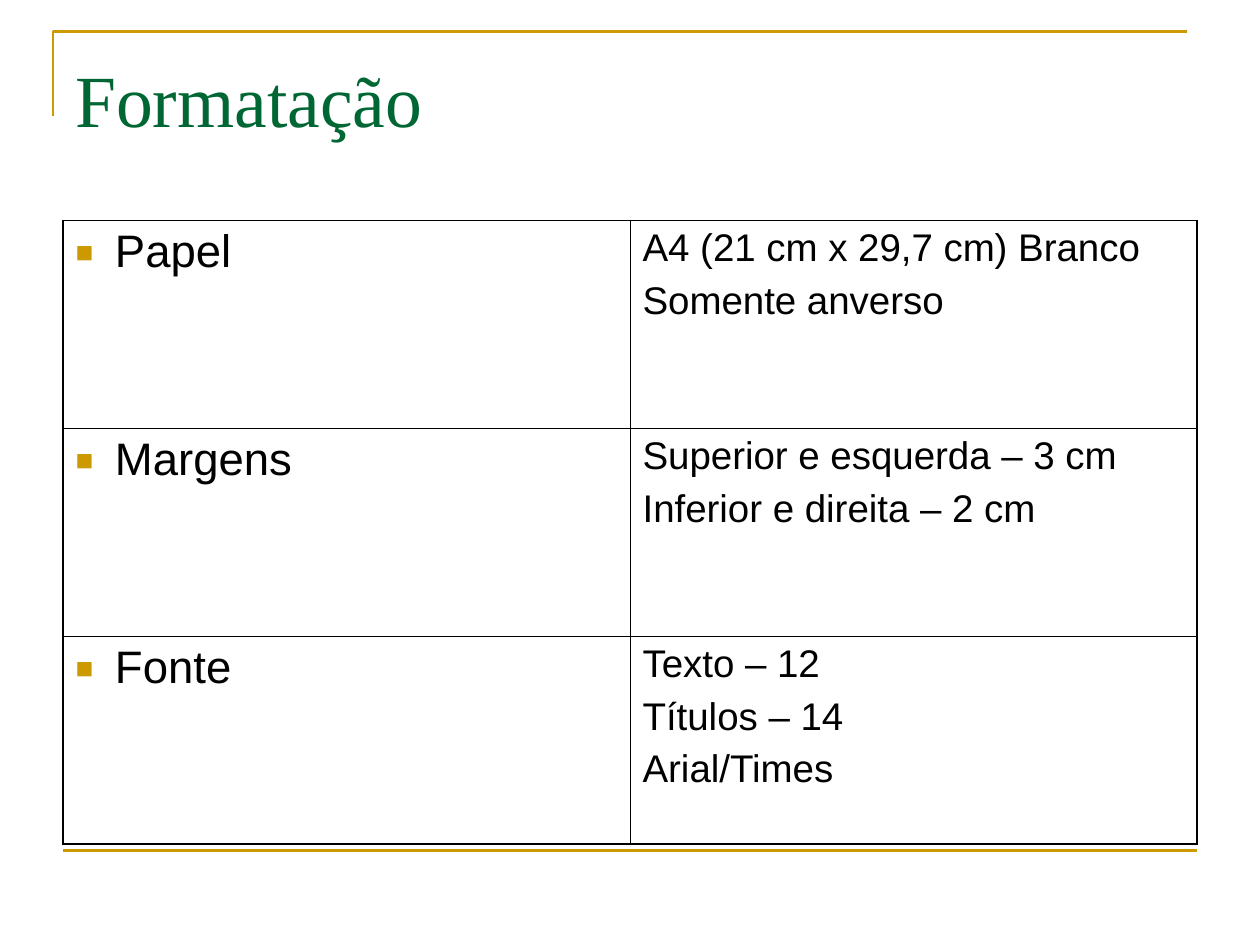
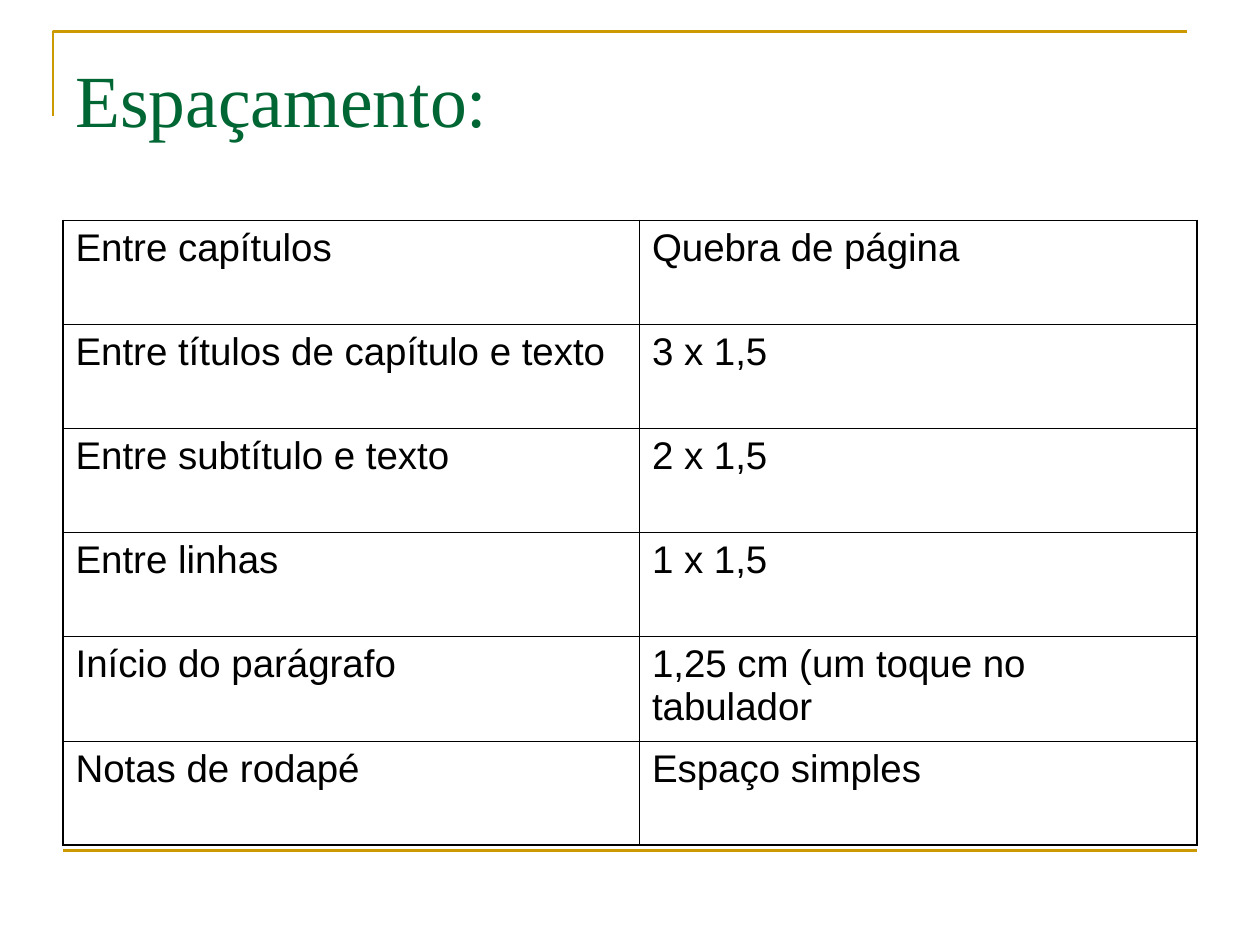
import pptx
import pptx.util
import pptx.dml.color
import pptx.enum.shapes
import pptx.oxml
from lxml import etree

Pt = pptx.util.Pt
RGB = pptx.dml.color.RGBColor.from_string
A = "http://schemas.openxmlformats.org/drawingml/2006/main"
COLORS = {"gold": "CC9900", "green": "006633", "ink": "000000"}

prs = pptx.Presentation()
prs.slide_width = pptx.util.Inches(10)
prs.slide_height = pptx.util.Inches(7.5)
U = prs.slide_width // 40  # one grid step, 40 columns by 30 rows
LEFT, WIDTH = 2 * U, 36 * U
OUTER, INNER = 1.08, 0.45


def write(tf, text, font="Arial", size=22, color="ink", before=0, bullet=False):
    """Fill tf with one paragraph per line of text."""
    tf.word_wrap = True
    for i, line in enumerate(text.split("\n")):
        p = tf.paragraphs[0] if i == 0 else tf.add_paragraph()
        p.space_before = Pt(before)
        r = p.add_run()
        r.text = line
        r.font.name, r.font.size = font, Pt(size)
        r.font.color.rgb = RGB(COLORS[color])
        if bullet:
            pPr = p._p.get_or_add_pPr()
            indent = int(1.25 * U)
            pPr.set("marL", str(indent))
            pPr.set("indent", str(-indent))
            clr = etree.SubElement(pPr, f"{{{A}}}buClr")
            etree.SubElement(clr, f"{{{A}}}srgbClr", val=COLORS["gold"])
            etree.SubElement(pPr, f"{{{A}}}buSzPct", val="65000")
            etree.SubElement(pPr, f"{{{A}}}buFont", typeface="Arial")
            etree.SubElement(pPr, f"{{{A}}}buChar", char="■")


def border(cell, widths):
    """Draw the cell's left, right, top and bottom lines, widths in points."""
    tcPr = cell._tc.get_or_add_tcPr()
    for i, (side, width) in enumerate(zip("LRTB", widths)):
        tcPr.insert(i, pptx.oxml.parse_xml(
            f'<a:ln{side} xmlns:a="{A}" w="{Pt(width)}"><a:solidFill>'
            f'<a:srgbClr val="{COLORS["ink"]}"/></a:solidFill></a:ln{side}>'))


# title, width of the first column in grid steps, bulleted first column, rows
SLIDES = [
    ("Formatação", 18, True, [
        ("Papel", "A4 (21 cm x 29,7 cm) Branco\nSomente anverso"),
        ("Margens", "Superior e esquerda – 3 cm\nInferior e direita – 2 cm"),
        ("Fonte", "Texto – 12\nTítulos – 14\nArial/Times"),
    ]),
    ("Espaçamento:", 18.3, False, [
        ("Entre capítulos", "Quebra de página"),
        ("Entre títulos de capítulo e texto", "3 x 1,5"),
        ("Entre subtítulo e texto", "2 x 1,5"),
        ("Entre linhas", "1 x 1,5"),
        ("Início do parágrafo", "1,25 cm (um toque no tabulador"),
        ("Notas de rodapé", "Espaço simples"),
    ]),
]

for title, first_col, bulleted, rows in SLIDES:
    s = prs.slides.add_slide(prs.slide_layouts[6])

    # gold corner and base line
    x, y = int(1.68 * U), U
    fb = s.shapes.build_freeform(x, int(3.68 * U))
    fb.add_line_segments([(x, y), (x + WIDTH, y)], close=False)
    corner = fb.convert_to_shape()
    corner.fill.background()
    corner.shadow.inherit = False
    base = s.shapes.add_connector(pptx.enum.shapes.MSO_CONNECTOR.STRAIGHT,
                                  LEFT, 27 * U, LEFT + WIDTH, 27 * U)
    for sp in (corner, base):
        sp.line.color.rgb = RGB(COLORS["gold"])
        sp.line.width = Pt(1.5)
    etree.SubElement(base._element.spPr, f"{{{A}}}effectLst")

    tf = s.shapes.add_textbox(LEFT, int(1.2 * U), WIDTH, 5 * U).text_frame
    tf.margin_top = U // 2
    write(tf, title, font="Times New Roman", size=42, color="green")

    n = len(rows)
    height = int(19.8 * U)
    table = s.shapes.add_table(n, 2, LEFT, 7 * U, WIDTH, height).table
    table.first_row = table.horz_banding = False
    table.columns[0].width = int(first_col * U)
    table.columns[1].width = WIDTH - table.columns[0].width
    for i, row in enumerate(rows):
        table.rows[i].height = height // n
        for j, text in enumerate(row):
            cell = table.cell(i, j)
            cell.fill.background()
            border(cell, [OUTER if edge else INNER
                          for edge in (j == 0, j == 1, i == 0, i == n - 1)])
            marked = bulleted and j == 0
            size = 26 if marked else 22
            write(cell.text_frame, text, size=size, before=size / 4, bullet=marked)

prs.save("out.pptx")
